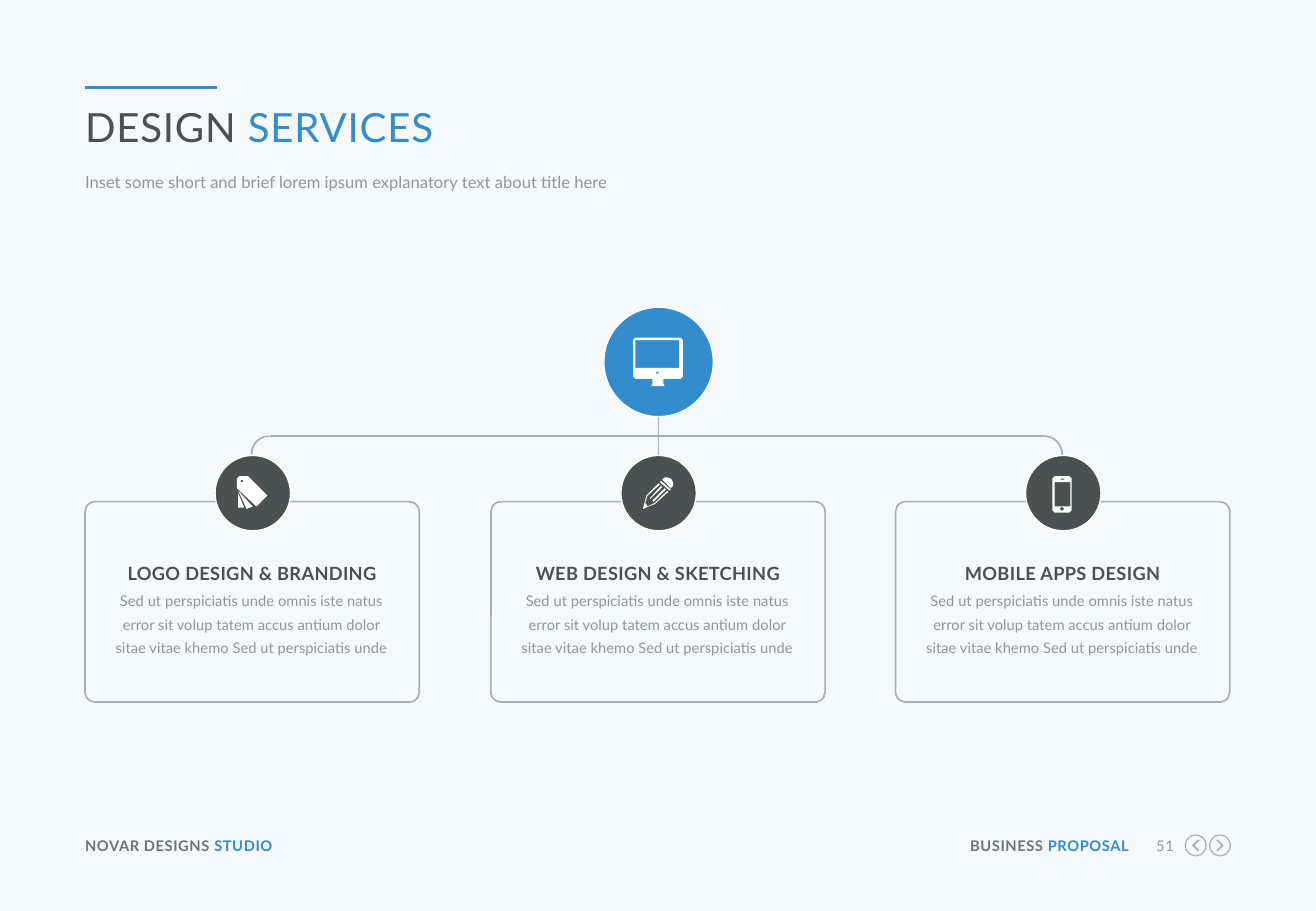
import math

import pptx
import pptx.dml.color
import pptx.enum.shapes
import pptx.enum.text
import pptx.oxml
import pptx.oxml.ns
import pptx.util

Inches, Pt = pptx.util.Inches, pptx.util.Pt
RGBColor = pptx.dml.color.RGBColor
SHAPE = pptx.enum.shapes.MSO_SHAPE
ALIGN = pptx.enum.text.PP_ALIGN

BACKGROUND = RGBColor(0xF6, 0xF8, 0xFA)
BLUE = RGBColor(0x32, 0x8C, 0xCD)
DARK = RGBColor(0x4B, 0x50, 0x50)
FOOTER = RGBColor(0x6E, 0x73, 0x78)
GREY = RGBColor(0x91, 0x96, 0x9B)
LINE = RGBColor(0xAA, 0xAF, 0xB4)
WHITE = RGBColor(0xFF, 0xFF, 0xFF)

prs = pptx.Presentation()
prs.slide_width, prs.slide_height = Inches(10.83), Inches(7.5)
s = prs.slides.add_slide(prs.slide_layouts[6])
s.background.fill.solid()
s.background.fill.fore_color.rgb = BACKGROUND


def circle(cx, cy, radius):
    """Return the outline of a circle as points in inches."""
    angles = [math.tau * i / 32 for i in range(32)]
    return [(cx + radius * math.cos(a), cy + radius * math.sin(a)) for a in angles]


def add_icon(color, *outlines):
    """Draw outlines as one filled shape; an outline inside another is a hole."""
    points = [[(Inches(x), Inches(y)) for x, y in outline] for outline in outlines]
    builder = s.shapes.build_freeform(*points[0][0])
    for i, outline in enumerate(points):
        if i:
            builder.move_to(*outline[0])
        builder.add_line_segments(outline[1:], close=True)
    sp = builder.convert_to_shape()
    sp.shadow.inherit = False
    sp.fill.solid()
    sp.fill.fore_color.rgb = color
    sp.line.fill.background()


# Title rule and the lines of the tree
for x1, y1, x2, y2, color, width in [
    (0.7, 0.72, 1.79, 0.72, BLUE, 2.25),
    (2.07, 3.73, 2.07, 3.79, LINE, 1),
    (2.22, 3.59, 5.42, 3.59, LINE, 1),
    (5.42, 3.59, 5.42, 3.43, LINE, 1),
    (8.74, 3.73, 8.74, 3.79, LINE, 1),
    (8.59, 3.59, 5.42, 3.59, LINE, 1),
    (5.42, 3.75, 5.42, 3.59, LINE, 1),
]:
    line = s.shapes.add_connector(pptx.enum.shapes.MSO_CONNECTOR.STRAIGHT,
                                  Inches(x1), Inches(y1), Inches(x2), Inches(y2))
    line.line.color.rgb = color
    line.line.width = Pt(width)
    line._element.spPr.append(pptx.oxml.parse_xml(
        f'<a:effectLst {pptx.oxml.ns.nsdecls("a")}/>'))

# Tree corners, cards and discs
card_lefts = [0.7, 4.04, 7.37]
shapes = [
    (SHAPE.ARC, 2.07, 3.59, 0.29, 0.29, None, [108, 162]),
    (SHAPE.ARC, 8.45, 3.59, 0.29, 0.29, None, [162, 0]),
    (SHAPE.OVAL, 4.97, 2.53, 0.9, 0.9, BLUE, []),
]
for left in card_lefts:
    shapes += [
        (SHAPE.ROUNDED_RECTANGLE, left, 4.13, 2.75, 1.65, None, [0.05]),
        (SHAPE.OVAL, left + 1.07, 3.75, 0.62, 0.62, DARK, []),
    ]
for kind, left, top, width, height, fill, adjustments in shapes:
    sp = s.shapes.add_shape(kind, Inches(left), Inches(top), Inches(width), Inches(height))
    sp.shadow.inherit = False
    for i, value in enumerate(adjustments):
        sp.adjustments[i] = value
    if fill is None:
        sp.fill.background()
    else:
        sp.fill.solid()
        sp.fill.fore_color.rgb = fill
    sp.line.color.rgb = LINE if fill is None else WHITE
    sp.line.width = Pt(1 if fill is None else 0.75)

# Monitor
add_icon(
    WHITE,
    [(5.23, 2.78), (5.6, 2.78), (5.62, 2.8), (5.62, 3.1), (5.6, 3.12), (5.46, 3.12),
     (5.46, 3.16), (5.47, 3.18), (5.36, 3.18), (5.37, 3.16), (5.37, 3.12), (5.23, 3.12),
     (5.21, 3.1), (5.21, 2.8)],
    [(5.23, 2.8), (5.59, 2.8), (5.59, 3.03), (5.23, 3.03)],
    circle(5.41, 3.07, 0.01),
)
# Swatches
add_icon(
    WHITE,
    [(1.95, 3.94), (1.97, 3.92), (2.04, 3.92), (2.2, 4.08), (2.11, 4.17), (1.95, 4.02)],
    [(1.96, 4.04), (2.08, 4.17), (2.03, 4.19)],
    [(1.96, 4.06), (2.01, 4.18), (1.96, 4.18)],
    circle(1.99, 3.96, 0.01),
)
# Pencil
add_icon(
    WHITE,
    [(5.29, 4.19), (5.32, 4.08), (5.42, 3.98), (5.43, 3.99), (5.33, 4.08), (5.31, 4.14),
     (5.33, 4.17), (5.39, 4.14), (5.49, 4.04), (5.5, 4.05), (5.39, 4.15)],
    [(5.35, 4.1), (5.44, 4), (5.45, 4.01), (5.35, 4.11)],
    [(5.37, 4.12), (5.47, 4.02), (5.48, 4.03), (5.38, 4.13)],
    [(5.43, 3.97), (5.44, 3.96), (5.52, 4.03), (5.51, 4.04)],
    [(5.45, 3.95), (5.47, 3.93), (5.49, 3.93), (5.52, 3.94), (5.54, 3.97), (5.54, 4),
     (5.52, 4.02)],
)
# Phone
add_icon(
    WHITE,
    [(8.68, 3.92), (8.8, 3.92), (8.82, 3.94), (8.82, 4.2), (8.8, 4.22), (8.68, 4.22),
     (8.66, 4.2), (8.66, 3.94)],
    [(8.68, 3.97), (8.81, 3.97), (8.81, 4.17), (8.68, 4.17)],
    circle(8.74, 4.19, 0.015),
    [(8.73, 3.94), (8.76, 3.94), (8.76, 3.95), (8.73, 3.95)],
)
# Previous and next buttons
for cx, side in [(9.84, -1), (10.04, 1)]:
    chevron = [(-0.03, -0.04), (-0.02, -0.05), (0.03, 0), (-0.02, 0.05), (-0.03, 0.04),
               (0.01, 0)]
    add_icon(LINE, circle(cx, 6.96, 0.09), circle(cx, 6.96, 0.08),
             [(cx + side * x, 6.96 + y) for x, y in chevron])

# Box, alignment, size, bold, letter spacing, line spacing, space after, runs
BODY = ("Sed ut perspiciatis unde omnis iste natus error sit volup tatem accus antium "
        "dolor sitae vitae khemo Sed ut perspiciatis unde")
texts = [
    (0.7, 0.84, 9.42, 0.56, ALIGN.LEFT, 23.8, False, 0.5, None, 0,
     [("DESIGN", DARK), (" SERVICES", BLUE)]),
    (0.7, 1.4, 9.42, 0.21, ALIGN.LEFT, 9.8, False, 0, 13, 0,
     [("Inset some short and brief lorem ipsum explanatory text about title here", GREY)]),
    (0.7, 6.89, 2.11, 0.15, ALIGN.LEFT, 8.7, True, 0.3, None, 0,
     [("NOVAR DESIGNS ", FOOTER), ("STUDIO", BLUE)]),
    (7.92, 6.89, 1.37, 0.15, ALIGN.RIGHT, 8.7, True, 0.3, None, 0,
     [("BUSINESS ", FOOTER), ("PROPOSAL", BLUE)]),
    (9.41, 6.89, 0.25, 0.15, ALIGN.RIGHT, 8.7, False, 0.3, None, 0, [("51", GREY)]),
]
services = ["LOGO DESIGN & BRANDING", "WEB DESIGN & SKETCHING", "MOBILE APPS DESIGN"]
for left, service in zip(card_lefts, services):
    texts += [
        (left + 0.17, 4.55, 2.41, 0.25, ALIGN.CENTER, 10.8, True, 0.2, 18.4, 6.5,
         [(service, DARK)]),
        (left + 0.17, 4.82, 2.4, 0.59, ALIGN.CENTER, 8.7, False, 0, 14.1, 6.5,
         [(BODY, GREY)]),
    ]
for left, top, width, height, align, size, bold, tracking, leading, after, runs in texts:
    tf = s.shapes.add_textbox(Inches(left), Inches(top), Inches(width),
                              Inches(height)).text_frame
    tf.word_wrap = True
    tf.margin_left = tf.margin_top = tf.margin_right = tf.margin_bottom = 0
    p = tf.paragraphs[0]
    p.alignment = align
    p.space_after = Pt(after)
    if leading:
        p.line_spacing = Pt(leading)
    p.font.name, p.font.size, p.font.bold = "Lato", Pt(size), bold
    for text, color in runs:
        r = p.add_run()
        r.text = text
        r.font.color.rgb = color
        if tracking:
            r._r.get_or_add_rPr().set("spc", str(round(tracking * 100)))

prs.save("out.pptx")
